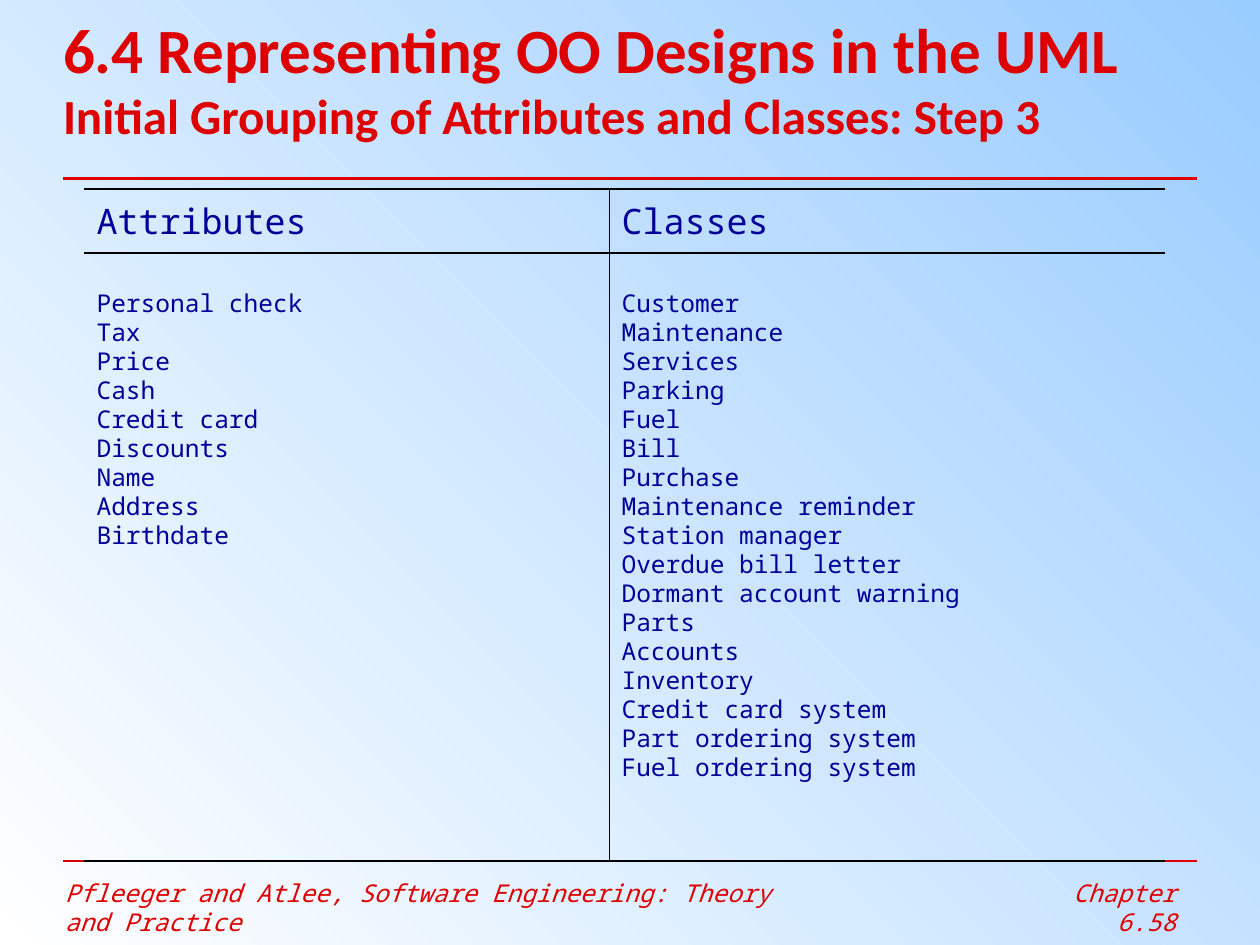
"""Builds the slide that groups candidate attributes and classes."""
import pptx
import pptx.dml.color
import pptx.enum.shapes
import pptx.enum.text
import pptx.oxml
import pptx.oxml.ns
import pptx.util

WIDTH, HEIGHT = pptx.util.Inches(10), pptx.util.Inches(7.5)
COLS, ROWS = 120, 90
COLORS = {"red": "DE0000", "navy": "000099", "black": "000000",
          "sky": "99CCFF", "white": "FFFFFF"}
HEAD_FONT, MONO_FONT = "Calibri", "Noto Sans Mono"
NO_GRID_STYLE = "{2D5ABB26-0587-4C30-8999-92F81FD0307C}"
ALIGN = pptx.enum.text.PP_ALIGN
ANCHOR = pptx.enum.text.MSO_ANCHOR
AUTO_SIZE = pptx.enum.text.MSO_AUTO_SIZE

GROUPS = {
    "Attributes": ["Personal check", "Tax", "Price", "Cash", "Credit card",
                   "Discounts", "Name", "Address", "Birthdate"],
    "Classes": ["Customer", "Maintenance", "Services", "Parking", "Fuel",
                "Bill", "Purchase", "Maintenance reminder", "Station manager",
                "Overdue bill letter", "Dormant account warning", "Parts",
                "Accounts", "Inventory", "Credit card system",
                "Part ordering system", "Fuel ordering system"],
}


def x(cols):
    return round(WIDTH * cols / COLS)


def y(rows):
    return round(HEIGHT * rows / ROWS)


def rgb(name):
    return pptx.dml.color.RGBColor.from_string(COLORS[name])


def style(r, font, size, color, bold=False, italic=False):
    r.font.name = font
    r.font.size = pptx.util.Pt(size)
    r.font.bold = bold
    r.font.italic = italic
    r.font.color.rgb = rgb(color)


def set_background(s):
    fill = s.background.fill
    fill.gradient()
    fill.gradient_angle = 225
    for stop, position, name in zip(fill.gradient_stops, (0, 1), ("sky", "white")):
        stop.position = position
        stop.color.rgb = rgb(name)


def set_title(s, heading, subheading):
    sp = s.shapes.title
    sp.left, sp.top, sp.width, sp.height = x(6), 0, x(111), y(14.75)
    tf = sp.text_frame
    tf.margin_left = tf.margin_right = tf.margin_top = tf.margin_bottom = 0
    tf.vertical_anchor = ANCHOR.MIDDLE
    tf.auto_size = AUTO_SIZE.NONE
    p = tf.paragraphs[0]
    p.text = f"{heading}\v{subheading}"
    p.alignment = ALIGN.LEFT
    for r, size in zip(p.runs, (36, 28)):
        style(r, HEAD_FONT, size, "red", bold=True)


def add_rule(s, row, weight):
    line = s.shapes.add_connector(
        pptx.enum.shapes.MSO_CONNECTOR.STRAIGHT, x(6), y(row), x(114), y(row))
    line.line.color.rgb = rgb("red")
    line.line.width = pptx.util.Pt(weight)
    pptx.oxml.ns.qn("a:effectLst")
    line._element.spPr.append(
        pptx.oxml.parse_xml(f'<a:effectLst {pptx.oxml.ns.nsdecls("a")}/>'))


def add_footer(s, text, col, width, alignment):
    tf = s.shapes.add_textbox(x(col), y(83), x(width), y(4.2)).text_frame
    tf.word_wrap = True
    tf.auto_size = AUTO_SIZE.SHAPE_TO_FIT_TEXT
    p = tf.paragraphs[0]
    p.text = text
    p.alignment = alignment
    style(p.runs[0], MONO_FONT, 14, "red", italic=True)


def set_borders(cell, weights):
    tc_pr = cell._tc.get_or_add_tcPr()
    for side in "LRTB":
        if side in weights:
            tc_pr.append(pptx.oxml.parse_xml(
                f'<a:ln{side} {pptx.oxml.ns.nsdecls("a")} w="{pptx.util.Pt(weights[side])}">'
                f'<a:solidFill><a:srgbClr val="{COLORS["black"]}"/></a:solidFill></a:ln{side}>'))


def fill_cell(cell, lines, size, anchor, top):
    cell.fill.background()
    cell.vertical_anchor = anchor
    cell.margin_top = pptx.util.Inches(top)
    cell.text_frame.text = "\n".join(lines)
    for i, p in enumerate(cell.text_frame.paragraphs):
        p.line_spacing = 0.5
        p.space_before = pptx.util.Pt(7 if i else 0)
        style(p.runs[0], MONO_FONT, size, "navy")


def add_group_table(s, groups):
    frame = s.shapes.add_table(2, len(groups), x(8), y(18), x(103), y(64))
    table = frame.table
    table.first_row = table.horz_banding = False
    table._tbl.tblPr.find(pptx.oxml.ns.qn("a:tableStyleId")).text = NO_GRID_STYLE
    for column, width in zip(table.columns, (50, 53)):
        column.width = x(width)
    for row, height in zip(table.rows, (6.1, 57.9)):
        row.height = y(height)
    for col, (heading, members) in enumerate(groups.items()):
        divider = {"L": 0.45} if col else {"R": 0.45}
        for row in range(2):
            set_borders(table.cell(row, col), {**divider, "T": 1.08, "B": 1.08})
        fill_cell(table.cell(0, col), [heading], 20, ANCHOR.MIDDLE, 0.15)
        fill_cell(table.cell(1, col), members, 14, ANCHOR.TOP, 0.37)


def main():
    prs = pptx.Presentation()
    prs.slide_width, prs.slide_height = WIDTH, HEIGHT
    s = prs.slides.add_slide(prs.slide_layouts[5])
    set_background(s)
    add_footer(s, "Pfleeger and Atlee, Software Engineering: Theory and Practice",
               5, 72, ALIGN.LEFT)
    add_rule(s, 82, 0.75)
    add_rule(s, 17, 1.5)
    add_footer(s, "Chapter 6.58", 94, 19.2, ALIGN.RIGHT)
    set_title(s, "6.4 Representing OO Designs in the UML",
              "Initial Grouping of Attributes and Classes: Step 3")
    add_group_table(s, GROUPS)
    prs.save("out.pptx")


if __name__ == "__main__":
    main()
